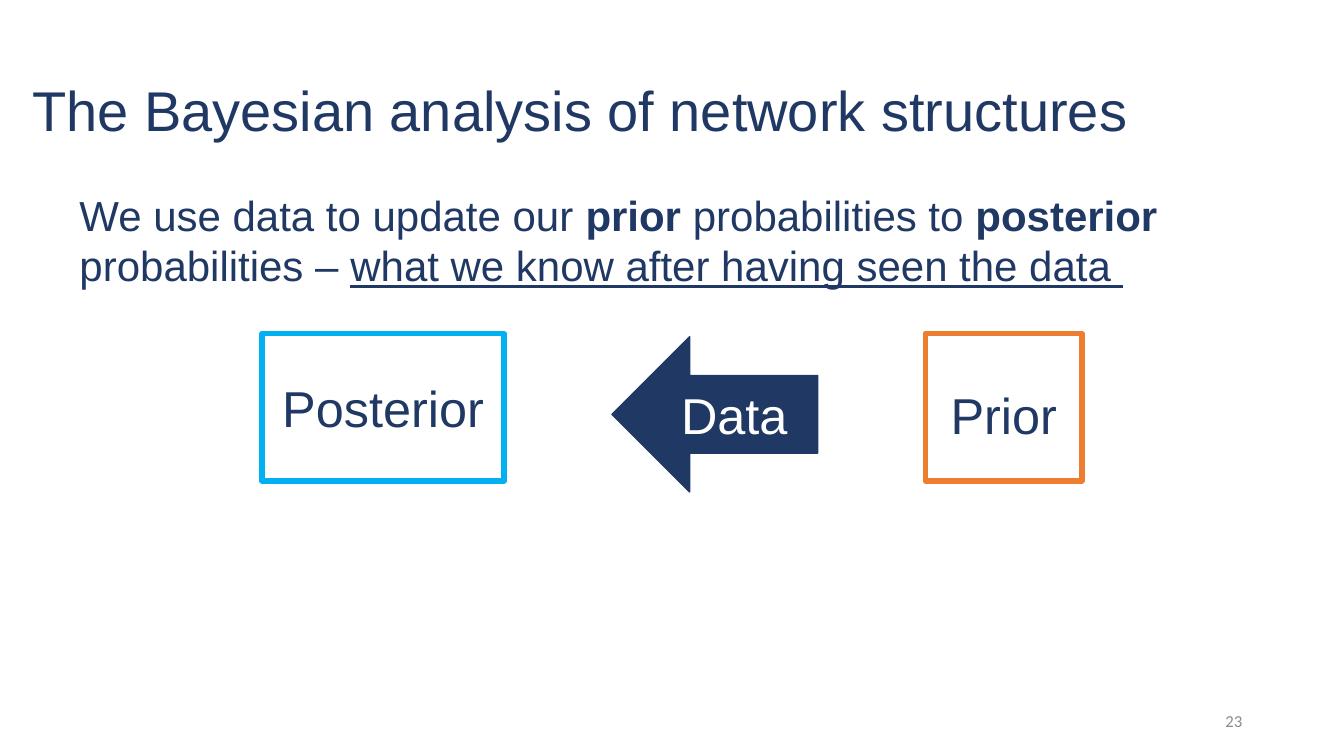
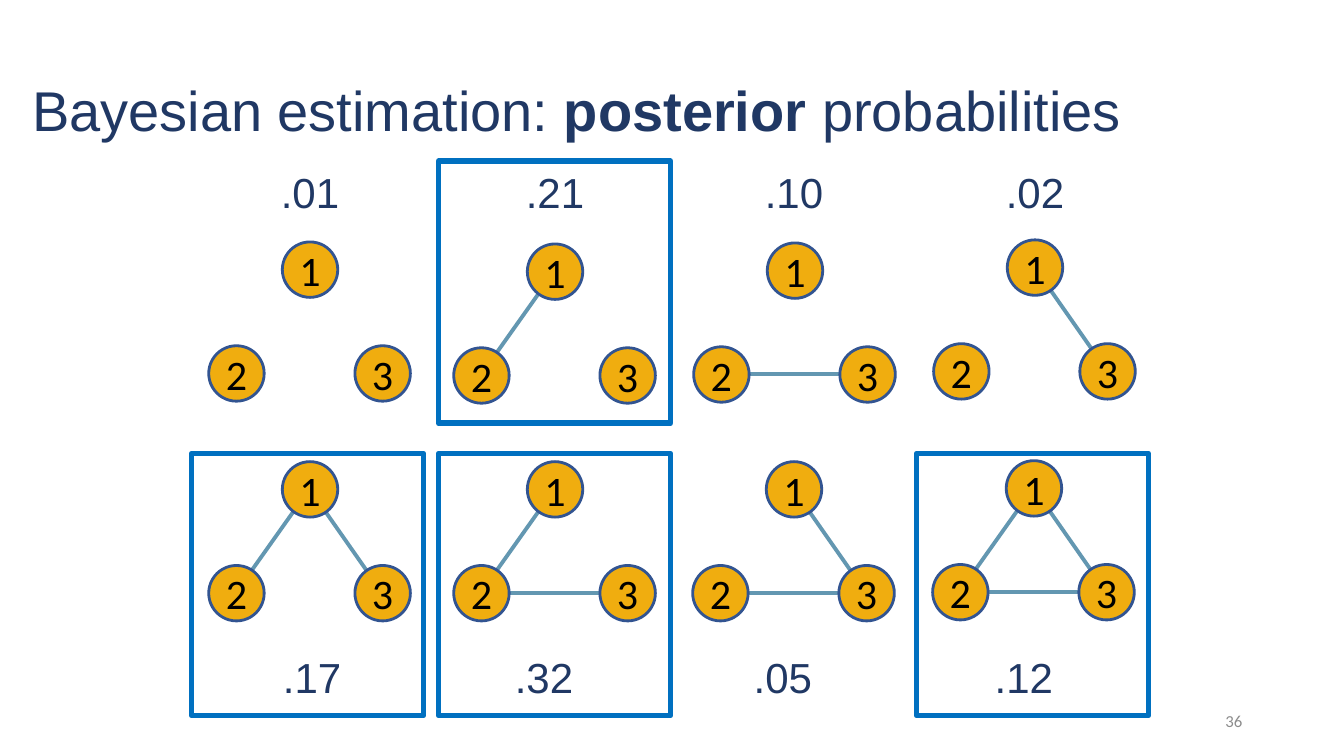
from pptx import Presentation
from pptx.dml.color import RGBColor
from pptx.enum.shapes import MSO_CONNECTOR, MSO_SHAPE
from pptx.enum.text import MSO_ANCHOR, PP_ALIGN
from pptx.oxml.ns import qn
from pptx.util import Pt
from lxml.etree import SubElement

PX = 9144  # EMU per px, 100 px to the inch
COLORS = {
    "navy": "203864", "white": "FFFFFF", "black": "000000", "grey": "8C8C8C",
    "sky": "00B0F0", "orange": "ED7D31", "blue": "0070C0",
    "edge": "6397B1", "node": "F0AD0F", "ring": "325491",
}


def rgb(name):
    return RGBColor.from_string(COLORS[name])


class Deck:
    """Holds the shared style and the current slide."""
    node_size = 55
    node_offsets = {1: (73, 0), 2: (0, 103), 3: (145, 103)}

    def __init__(self):
        self.prs = Presentation()
        self.prs.slide_width, self.prs.slide_height = 1333 * PX, 750 * PX

    def slide(self, title, number):
        self.s = self.prs.slides.add_slide(self.prs.slide_layouts[6])
        self.text(22, 40, 1220, 145, title, 40, anchor=MSO_ANCHOR.MIDDLE, spacing=0.9)
        self.text(942, 695, 300, 40, [str(number)], 12, "grey", "Calibri",
                  PP_ALIGN.RIGHT, MSO_ANCHOR.MIDDLE)

    def fill_text(self, tf, runs, size, color="navy", font="Arial",
                  align=PP_ALIGN.LEFT, anchor=MSO_ANCHOR.TOP, spacing=None):
        """A run is a string, or a (string, font attribute) pair."""
        tf.word_wrap, tf.vertical_anchor = True, anchor
        p = tf.paragraphs[0]
        p.alignment, p.line_spacing = align, spacing
        p.font.size, p.font.name, p.font.color.rgb = Pt(size), font, rgb(color)
        for run in runs:
            text, style = (run, None) if isinstance(run, str) else run
            r = p.add_run()
            r.text = text
            if style == "bold":
                r.font.bold = True
            elif style == "underline":
                r.font.underline = True

    def text(self, x, y, w, h, runs, size, *style, **options):
        box = self.s.shapes.add_textbox(x * PX, y * PX, w * PX, h * PX)
        self.fill_text(box.text_frame, runs, size, *style, **options)

    def shape(self, kind, x, y, w, h, line, width, fill=None):
        sp = self.s.shapes.add_shape(kind, x * PX, y * PX, w * PX, h * PX)
        sp.shadow.inherit = False
        sp.line.color.rgb, sp.line.width = rgb(line), Pt(width)
        if fill:
            sp.fill.solid()
            sp.fill.fore_color.rgb = rgb(fill)
        else:
            sp.fill.background()
        return sp

    def frame(self, x, y, w, h, color):
        self.shape(MSO_SHAPE.RECTANGLE, x, y, w, h, color, 4)

    def arrow(self, x, y, w, h, label):
        sp = self.shape(MSO_SHAPE.LEFT_ARROW, x, y, w, h, "navy", 1, "navy")
        self.fill_text(sp.text_frame, [label], 36, "white",
                       align=PP_ALIGN.CENTER, anchor=MSO_ANCHOR.MIDDLE)

    def edge(self, x1, y1, x2, y2):
        line = self.s.shapes.add_connector(
            MSO_CONNECTOR.STRAIGHT, x1 * PX, y1 * PX, x2 * PX, y2 * PX)
        line.line.color.rgb, line.line.width = rgb("edge"), Pt(2.75)
        SubElement(line._element.spPr, qn("a:effectLst"))

    def node(self, x, y, label):
        sp = self.shape(MSO_SHAPE.OVAL, x, y, self.node_size, self.node_size,
                        "ring", 2, "node")
        tf = sp.text_frame
        tf.margin_left = tf.margin_right = tf.margin_top = tf.margin_bottom = 0
        self.fill_text(tf, [label], 30, "black", "Calibri",
                       PP_ALIGN.CENTER, MSO_ANCHOR.MIDDLE)

    def graph(self, x, y, edges):
        """Three-node network; edges are pairs of node numbers."""
        spots = {n: (x + dx, y + dy) for n, (dx, dy) in self.node_offsets.items()}
        half = self.node_size // 2
        for a, b in edges:
            self.edge(*(v + half for v in spots[a] + spots[b]))
        for n, spot in spots.items():
            self.node(*spot, str(n))


def main():
    deck = Deck()

    # From prior to posterior
    deck.slide(["The Bayesian analysis of network structures"], 23)
    for label, x, y, w, color in (("Posterior", 260, 369, 240, "sky"),
                                  ("Prior", 918, 376, 155, "orange")):
        deck.text(x, y, w, 71, [label], 36, align=PP_ALIGN.CENTER)
        deck.frame(x, 331, w, 146, color)
    deck.arrow(607, 334, 204, 154, "Data")
    deck.text(69, 183, 1173, 111, [
        "We use data to update our ", ("prior", "bold"), " probabilities to ",
        ("posterior", "bold"), " probabilities – ",
        ("what we know after having seen the data ", "underline")], 30)

    # Posterior probability of each network
    deck.slide(["Bayesian estimation: ", ("posterior", "bold"), " probabilities"], 36)
    left, right, base = (1, 2), (1, 3), (2, 3)
    # Each row: label top, frame top, then
    # (graph x, graph y, edges, probability, label x, frame x)
    rows = (
        (160, 160, (
            (207, 240, (), ".01", 268, None),
            (450, 242, (left,), ".21", 511, 435),
            (688, 241, (base,), ".10", 748, None),
            (926, 238, (right,), ".02", 987, None))),
        (641, 450, (
            (207, 458, (left, right), ".17", 270, 190),
            (450, 458, (left, base), ".32", 500, 435),
            (687, 458, (right, base), ".05", 737, None),
            (925, 457, (left, right, base), ".12", 976, 909))),
    )
    for label_y, frame_y, graphs in rows:
        for x, y, edges, probability, label_x, frame_x in graphs:
            deck.graph(x, y, edges)
            deck.text(label_x, label_y, 79, 111, [probability], 30,
                      align=PP_ALIGN.CENTER)
            if frame_x:
                deck.frame(frame_x, frame_y, 230, 260, "blue")

    deck.prs.save("out.pptx")


if __name__ == "__main__":
    main()
